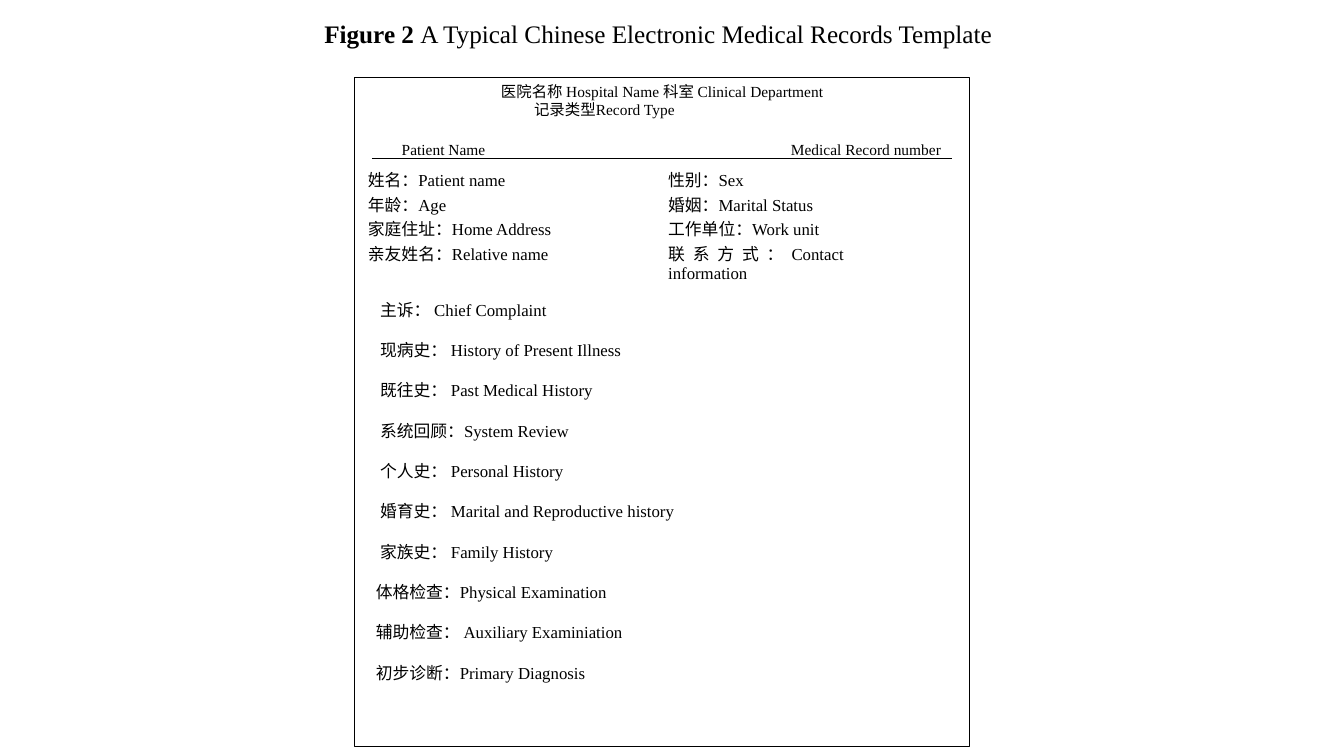
"""Build a slide showing a typical Chinese electronic medical record template."""
from dataclasses import dataclass

from lxml import etree
from pptx import Presentation
from pptx import util as u
from pptx.dml.color import RGBColor
from pptx.enum import shapes, text
from pptx.oxml.ns import qn

Pt = u.Pt


@dataclass(frozen=True)
class Theme:
    ink: RGBColor = RGBColor(0, 0, 0)
    paper: RGBColor = RGBColor(255, 255, 255)
    font: str = "Times New Roman"
    title: float = 18
    body: float = 12
    header: float = 11


class Sketch:
    def __init__(self, slide, theme):
        self.slide = slide
        self.theme = theme

    def apply(self, target, values):
        for name, value in values.items():
            setattr(target, name, value)

    def add_words(self, para, words, size, bold=False, **layout):
        self.apply(para, layout)
        span = para.add_run()
        span.text = words
        self.apply(span.font, {"name": self.theme.font, "size": Pt(size), "bold": bold})
        span.font.color.rgb = self.theme.ink

    def indent(self, para, left=0, stops=()):
        props = para._p.get_or_add_pPr()
        props.set("marL", str(Pt(left)))
        if stops:
            tabs = etree.SubElement(props, qn("a:tabLst"))
            for stop in stops:
                etree.SubElement(tabs, qn("a:tab"), pos=str(Pt(stop)), algn="l")

    def frame(self, left, top, width, height, lines):
        box = self.slide.shapes.add_shape(
            shapes.MSO_SHAPE.RECTANGLE, Pt(left), Pt(top), Pt(width), Pt(height))
        box.shadow.inherit = False
        box.fill.solid()
        box.fill.fore_color.rgb = self.theme.paper
        box.line.color.rgb = self.theme.ink
        box.line.width = Pt(1)
        body = box.text_frame
        self.apply(body, {"word_wrap": True, "vertical_anchor": text.MSO_ANCHOR.TOP})
        for index, line in enumerate(lines):
            para = body.paragraphs[0] if index == 0 else body.add_paragraph()
            self.add_words(para, line["words"], line["size"],
                           alignment=line.get("align", text.PP_ALIGN.LEFT),
                           line_spacing=Pt(line["pitch"]),
                           space_before=Pt(line.get("before", 0)))
            self.indent(para, line.get("left", 0), line.get("stops", ()))

    def table(self, left, top, widths, row_height, rows):
        holder = self.slide.shapes.add_table(
            len(rows), len(widths), Pt(left), Pt(top),
            Pt(sum(widths)), Pt(row_height * len(rows)))
        grid = holder.table
        self.apply(grid, {"first_row": False, "horz_banding": False})
        for column, width in zip(grid.columns, widths):
            column.width = Pt(width)
        for row, entries in zip(grid.rows, rows):
            row.height = Pt(row_height)
            for cell, words in zip(row.cells, entries):
                self.apply(cell, {"margin_left": Pt(5), "margin_right": Pt(5),
                                  "margin_top": 0, "margin_bottom": 0})
                cell.fill.background()
                para = cell.text_frame.paragraphs[0]
                if words:
                    self.add_words(para, words, self.theme.body,
                                   alignment=text.PP_ALIGN.JUSTIFY)
                else:
                    etree.SubElement(para._p, qn("a:endParaRPr"),
                                     sz=str(self.theme.body * 100))

    def rule(self, left, right, y):
        line = self.slide.shapes.add_connector(
            shapes.MSO_CONNECTOR.STRAIGHT, Pt(left), Pt(y), Pt(right), Pt(y))
        line.line.color.rgb = self.theme.ink
        line.line.width = Pt(0.75)
        etree.SubElement(line._element.spPr, qn("a:effectLst"))

    def title(self, left, top, width, height, label, words):
        box = self.slide.shapes.add_textbox(Pt(left), Pt(top), Pt(width), Pt(height))
        body = box.text_frame
        self.apply(body, {"word_wrap": True, "vertical_anchor": text.MSO_ANCHOR.MIDDLE})
        para = body.paragraphs[0]
        self.add_words(para, label, self.theme.title, bold=True)
        self.add_words(para, words, self.theme.title)


theme = Theme()
deck = Presentation()
deck.slide_width, deck.slide_height = Pt(960), Pt(540)
sketch = Sketch(deck.slides.add_slide(deck.slide_layouts[6]), theme)

header_style = {"size": theme.header, "pitch": 13}
headers = [
    {"words": "医院名称 Hospital Name 科室 Clinical Department",
     "align": text.PP_ALIGN.CENTER},
    {"words": "记录类型Record Type", "left": 121},
    {"words": "\tPatient Name\tMedical Record number", "before": 15,
     "stops": (26.5, 304.5)},
]
histories = [
    "主诉： Chief Complaint",
    "现病史： History of Present Illness",
    "既往史： Past Medical History",
    "系统回顾：System Review",
    "个人史： Personal History",
    "婚育史： Marital and Reproductive history",
    "家族史： Family History",
]
examinations = [
    "体格检查：Physical Examination",
    "辅助检查： Auxiliary Examiniation",
    "初步诊断：Primary Diagnosis",
]
sections = [(words, 11) for words in histories] + [(words, 8) for words in examinations]
lines = [header_style | header for header in headers] + [
    {"words": words, "left": left, "size": theme.body, "pitch": 14.4,
     "before": 14.4 if index else 101}
    for index, (words, left) in enumerate(sections)
]
details = [
    ("姓名：Patient name", "性别：Sex"),
    ("年龄：Age", "婚姻：Marital Status"),
    ("家庭住址：Home Address", "工作单位：Work unit"),
    ("亲友姓名：Relative name", "联系方式：Contact information"),
]

sketch.frame(253.4, 55.4, 439.2, 478, lines)
sketch.table(257.8, 119.5, (149, 65.5, 135.4, 79.2), 17.4,
             [(first, "", second, "") for first, second in details])
sketch.rule(265.7, 679.7, 113)
sketch.title(224.6, 9.4, 512, 28.8, "Figure 2 ",
             "A Typical Chinese Electronic Medical Records Template")
deck.save("out.pptx")
